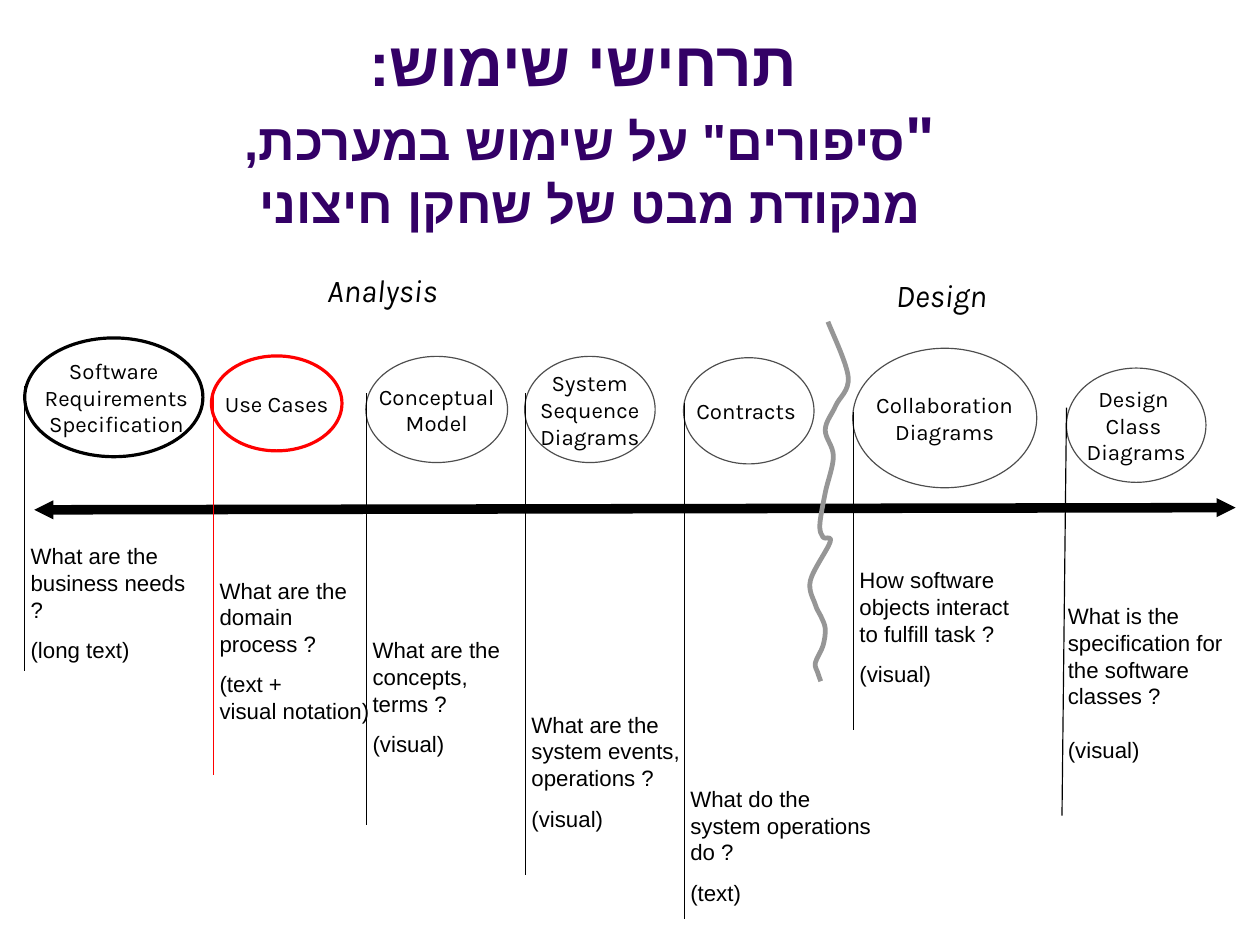
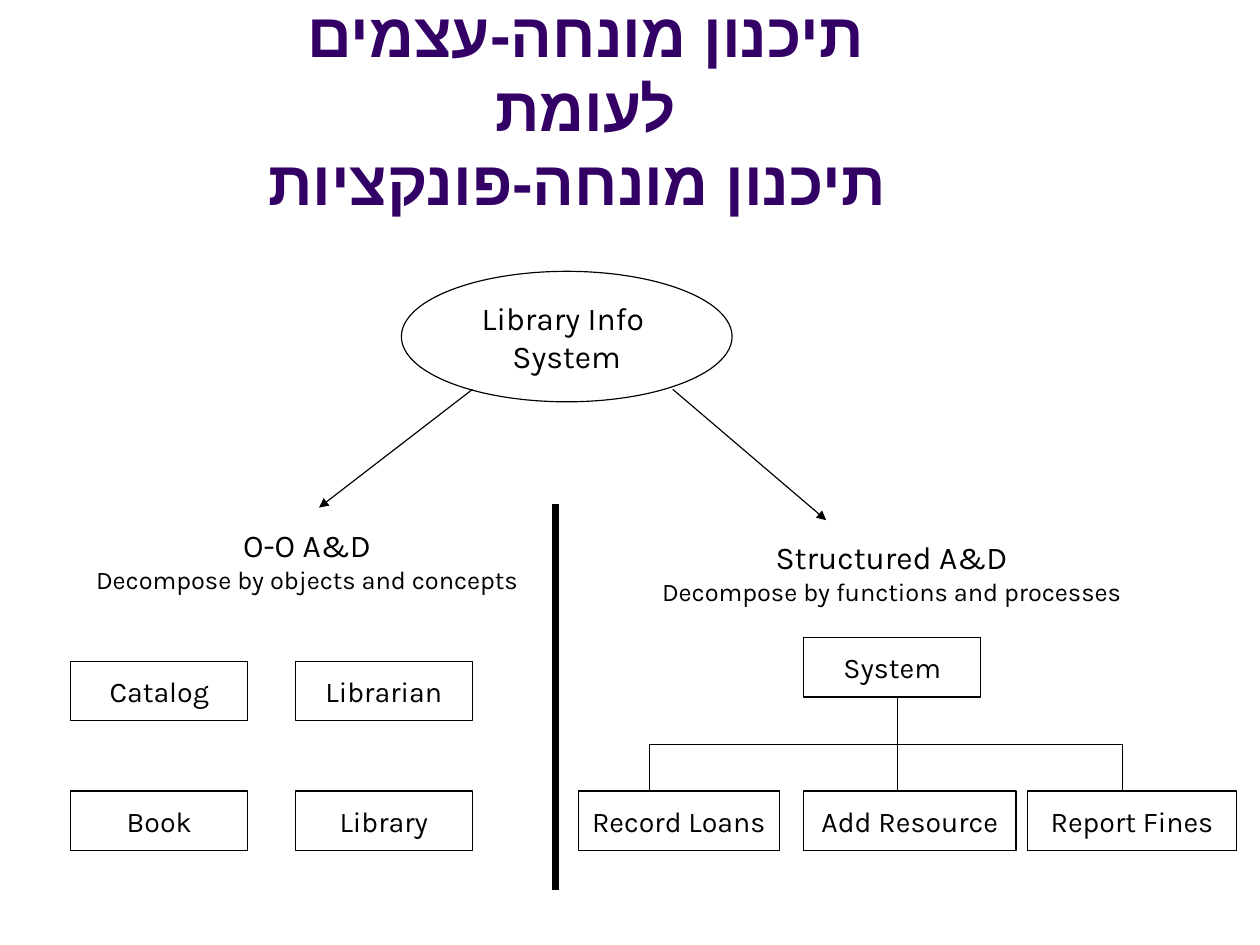
from dataclasses import dataclass

from lxml import etree
from pptx import Presentation
from pptx.dml.color import RGBColor
from pptx.enum import shapes as kinds, text as layout
from pptx.oxml import ns
from pptx.util import Cm, Pt


@dataclass(frozen=True)
class Theme:
    ink: str = "000000"
    title: str = "330066"
    accent: str = "FF0000"
    outline: str = "4D4D4D"
    wave: str = "969696"
    sans: str = "Arial"
    label: str = "Karla"
    title_size: int = 39
    subtitle_size: int = 32
    heading_size: int = 20
    box_size: int = 18
    detail_size: int = 16
    small_size: int = 14
    thin: float = 0.75
    bold: float = 2
    gap: float = 8.7


@dataclass(frozen=True)
class Box:
    left: float
    top: float
    width: float
    height: float

    def place(self):
        return Cm(self.left), Cm(self.top), Cm(self.width), Cm(self.height)


@dataclass(frozen=True)
class Stage:
    oval: Box
    name: tuple
    stem: tuple
    caption_drop: float
    caption: tuple
    color: str = Theme.outline
    weight: float = Theme.thin
    inset: float = 0.02
    lean: float = 0
    caption_width: float = 3.96
    gap: float = Theme.gap


THEME = Theme()
CENTER = layout.PP_ALIGN.CENTER
OVAL = kinds.MSO_SHAPE.OVAL
RECTANGLE = kinds.MSO_SHAPE.RECTANGLE

STAGES = (
    Stage(Box(0.55, 7.51, 3.96, 2.64), ("Software", " Requirements", " Specification"), (1.09, 7.39),
          4.42, ("What are the business needs ?", "(long text)"), THEME.ink, THEME.bold, inset=0),
    Stage(Box(4.7, 7.91, 2.9, 2.11), ("Use Cases",), (0.82, 9.3),
          4.78, ("What are the domain process ?", "(text + \nvisual notation)"),
          THEME.accent, THEME.bold, inset=0.05),
    Stage(Box(8.13, 7.92, 3.15, 2.36), ("Conceptual", "Model"), (0.82, 10.39),
          6.1, ("What are the concepts, terms ?", "(visual)")),
    Stage(Box(11.66, 7.92, 2.9, 2.36), ("System", "Sequence", "Diagrams"), (0.82, 11.51),
          7.75, ("What are the system events, operations ?", "(visual)")),
    Stage(Box(15.19, 7.95, 2.9, 2.36), ("Contracts ",), (1.02, 12.47),
          9.37, ("What do the system operations do ?", "(text)"), caption_width=4.62),
    Stage(Box(18.95, 7.74, 4.09, 3.1), ("Collaboration", "Diagrams"), (1.42, 8.48),
          4.72, ("How software objects interact to fulfill task ?", "(visual)")),
    Stage(Box(23.7, 8.18, 3.1, 2.54), ("Design ", "Class ", "Diagrams"), (0.89, 9.93),
          5.08, ("What is the specification for the software classes ?", "(visual)"),
          inset=0, lean=-0.1, gap=16.8),
)

WAVE = (
    (0.42, 0), (0.87, 1.23), (0.59, 1.87), (0.36, 2.4), (0.54, 2.99),
    (0.36, 3.8), (0.24, 4.51), (0.31, 4.79), (0.47, 4.89), (0.03, 5.75), (0.14, 6.29),
    (0.26, 6.54), (0.36, 6.82), (0.31, 7.2), (0.14, 7.58), (0.19, 7.79), (0.26, 7.99),
)


def set_margins(frame, side=0.28, end=0.15):
    frame.margin_left = frame.margin_right = Cm(side)
    frame.margin_top = frame.margin_bottom = Cm(end)


def add_run(paragraph, words, size, font=THEME.label, color=THEME.ink, bold=False, italic=False):
    for number, line in enumerate(words.split("\n")):
        if number:
            paragraph.add_line_break()
        run = paragraph.add_run()
        run.text = line
        run.font.name = font
        run.font.size = Pt(size)
        run.font.bold = bold
        run.font.italic = italic
        run.font.color.rgb = RGBColor.from_string(color)
        complex_font = etree.SubElement(run.font._element, ns.qn("a:cs"))
        complex_font.set("typeface", font)


def next_paragraph(frame, number):
    return frame.add_paragraph() if number else frame.paragraphs[0]


def add_outline(shapes, kind, box, lines, size, color=THEME.ink, weight=THEME.thin):
    shape = shapes.add_shape(kind, *box.place())
    shape.shadow.inherit = False
    shape.fill.background()
    shape.line.color.rgb = RGBColor.from_string(color)
    shape.line.width = Pt(weight)
    frame = shape.text_frame
    frame.word_wrap = False
    frame.vertical_anchor = layout.MSO_ANCHOR.MIDDLE
    set_margins(frame)
    for number, line in enumerate(lines):
        paragraph = next_paragraph(frame, number)
        paragraph.alignment = CENTER
        add_run(paragraph, line, size)


def add_line(shapes, start, end, color=THEME.ink, weight=THEME.thin, arrows=(), head="med"):
    points = [Cm(value) for value in (*start, *end)]
    line = shapes.add_connector(kinds.MSO_CONNECTOR.STRAIGHT, *points)
    line.line.color.rgb = RGBColor.from_string(color)
    line.line.width = Pt(weight)
    stroke = line.line._get_or_add_ln()
    stroke.set("cap", "sq")
    for arrow in arrows:
        tip = etree.SubElement(stroke, ns.qn(f"a:{arrow}"))
        for key, value in (("type", "triangle"), ("w", head), ("len", head)):
            tip.set(key, value)
    etree.SubElement(line._element.spPr, ns.qn("a:effectLst"))


def add_label(shapes, box, lines, align=None, italic=False):
    frame = shapes.add_textbox(*box.place()).text_frame
    frame.word_wrap = False
    set_margins(frame)
    for number, (words, size) in enumerate(lines):
        paragraph = next_paragraph(frame, number)
        paragraph.alignment = align
        add_run(paragraph, words, size, italic=italic)


def add_caption(shapes, box, lines, gap):
    frame = shapes.add_textbox(*box.place()).text_frame
    frame.word_wrap = True
    set_margins(frame, 0.25, 0.13)
    for number, words in enumerate(lines):
        paragraph = next_paragraph(frame, number)
        if number:
            paragraph.space_before = Pt(gap)
        add_run(paragraph, words, THEME.small_size, THEME.sans)


def add_titled_slide(presentation, box, runs, right_to_left=False):
    slide = presentation.slides.add_slide(presentation.slide_layouts[5])
    title = slide.shapes.title
    title.left, title.top, title.width, title.height = box.place()
    frame = title.text_frame
    frame.word_wrap = True
    frame.auto_size = layout.MSO_AUTO_SIZE.NONE
    frame.vertical_anchor = layout.MSO_ANCHOR.BOTTOM
    set_margins(frame, 0.25, 0.13)
    paragraph = frame.paragraphs[0]
    paragraph.alignment = CENTER
    if right_to_left:
        paragraph._p.get_or_add_pPr().set("rtl", "1")
    for words, size in runs:
        add_run(paragraph, words, size, THEME.sans, THEME.title, bold=True)
    return slide


def round_corners(outline):
    nodes = list(outline.iter(ns.qn("a:pt")))
    points = [(int(node.get("x")), int(node.get("y"))) for node in nodes]
    padded = (points[0], *points, points[-1])
    segments = zip(nodes[1:], padded, padded[1:], padded[2:], padded[3:])
    for node, before, start, end, after in segments:
        leave = [s + (e - b) / 6 for b, s, e in zip(before, start, end)]
        arrive = [e - (a - s) / 6 for s, e, a in zip(start, end, after)]
        straight = node.getparent()
        curve = etree.Element(ns.qn("a:cubicBezTo"))
        for x, y in (leave, arrive, end):
            point = etree.SubElement(curve, ns.qn("a:pt"))
            point.set("x", str(round(x)))
            point.set("y", str(round(y)))
        straight.getparent().replace(straight, curve)


def add_wave(shapes, left, top):
    start, *rest = [(Cm(left + x), Cm(top + y)) for x, y in WAVE]
    builder = shapes.build_freeform(*start)
    builder.add_line_segments(rest, close=False)
    wave = builder.convert_to_shape()
    round_corners(wave._element.spPr)
    wave.shadow.inherit = False
    wave.fill.background()
    wave.line.color.rgb = RGBColor.from_string(THEME.wave)
    wave.line.width = Pt(3)


def add_stage(slide, stage):
    shapes = slide.shapes.add_group_shape().shapes
    oval = stage.oval
    stem = oval.left + stage.inset
    stem_top, stem_end = (oval.top + drop for drop in stage.stem)
    stem_color = THEME.accent if stage.color == THEME.accent else THEME.ink
    add_outline(shapes, OVAL, oval, stage.name, THEME.small_size, stage.color, stage.weight)
    add_line(shapes, (stem, stem_top), (stem + stage.lean, stem_end), stem_color)
    caption = Box(stem + stage.lean - 0.12, oval.top + stage.caption_drop, stage.caption_width, 2.95)
    add_caption(shapes, caption, stage.caption, stage.gap)


def build_timeline_slide(presentation):
    runs = (("תרחישי שימוש:\n\"", THEME.title_size),
            ("סיפורים\" על שימוש במערכת, \nמנקודת מבט של שחקן חיצוני ", THEME.subtitle_size))
    slide = add_titled_slide(presentation, Box(1.4, 1.37, 23.11, 3.96), runs, right_to_left=True)
    add_line(slide.shapes, (0.76, 11.33), (27.46, 11.28), weight=6, arrows=("headEnd", "tailEnd"), head="sm")
    for words, box in (("Analysis", Box(6.99, 5.87, 3.1, 1.14)), ("Design", Box(19.63, 5.97, 2.69, 1.14))):
        add_label(slide.shapes, box, ((words, THEME.heading_size),), italic=True)
    add_wave(slide.shapes, 17.98, 7.15)
    for stage in STAGES:
        add_stage(slide, stage)


def add_object_grid(shapes, box, names, columns=2):
    width, height = 3.94, 1.32
    for number, name in enumerate(names):
        row, column = divmod(number, columns)
        cell = Box(box.left + column * (box.width - width), box.top + row * (box.height - height),
                   width, height)
        add_outline(shapes, RECTANGLE, cell, (name,), THEME.box_size)


def add_function_tree(shapes, box):
    height = 1.32
    leaf_top = box.top + box.height - height
    bus = leaf_top - 1.04
    leaves = (("Record Loans", 0, 4.47, 1.58), ("Add Resource", 5.01, 4.72, 7.09),
              ("Report Fines", 9.98, 4.65, 12.09))
    add_outline(shapes, RECTANGLE, Box(box.left + 5.01, box.top, 3.94, height), ("System",), THEME.box_size)
    for name, offset, width, _ in leaves:
        add_outline(shapes, RECTANGLE, Box(box.left + offset, leaf_top, width, height), (name,), THEME.box_size)
    first, middle, last = (box.left + leaf[3] for leaf in leaves)
    add_line(shapes, (middle, box.top + height), (middle, leaf_top))
    add_line(shapes, (first, bus), (last, bus))
    for drop in (first, last):
        add_line(shapes, (drop, bus), (drop, leaf_top))


def build_comparison_slide(presentation):
    runs = (("תיכנון מונחה-עצמים \nלעומת \nתיכנון מונחה-פונקציות", THEME.title_size),)
    slide = add_titled_slide(presentation, Box(1.27, 1.02, 23.11, 3.96), runs)
    shapes = slide.shapes
    add_outline(shapes, OVAL, Box(8.92, 6.03, 7.35, 2.9), ("Library Info ", "System"), THEME.heading_size)
    for heading, detail, box in (
            ("O-O A&D", "Decompose by objects and concepts", Box(1.72, 11.54, 10.21, 1.8)),
            ("Structured A&D", "Decompose by functions and processes", Box(14.29, 11.81, 11.05, 1.8))):
        add_label(shapes, box, ((heading, THEME.heading_size), (detail, THEME.detail_size)), CENTER)
    add_object_grid(shapes, Box(1.57, 14.7, 8.93, 4.2), ("Catalog", "Librarian", "Book", "Library"))
    add_function_tree(shapes, Box(12.85, 14.17, 14.63, 4.73))
    add_line(shapes, (12.34, 11.28), (12.34, 19.69), weight=4.5)
    for start, end in (((10.49, 8.66), (7.09, 11.28)), ((14.96, 8.66), (18.36, 11.56))):
        add_line(shapes, start, end, arrows=("tailEnd",))


def main():
    presentation = Presentation()
    presentation.slide_width = Cm(28)
    presentation.slide_height = Cm(21)
    build_timeline_slide(presentation)
    build_comparison_slide(presentation)
    presentation.save("out.pptx")


if __name__ == "__main__":
    main()
